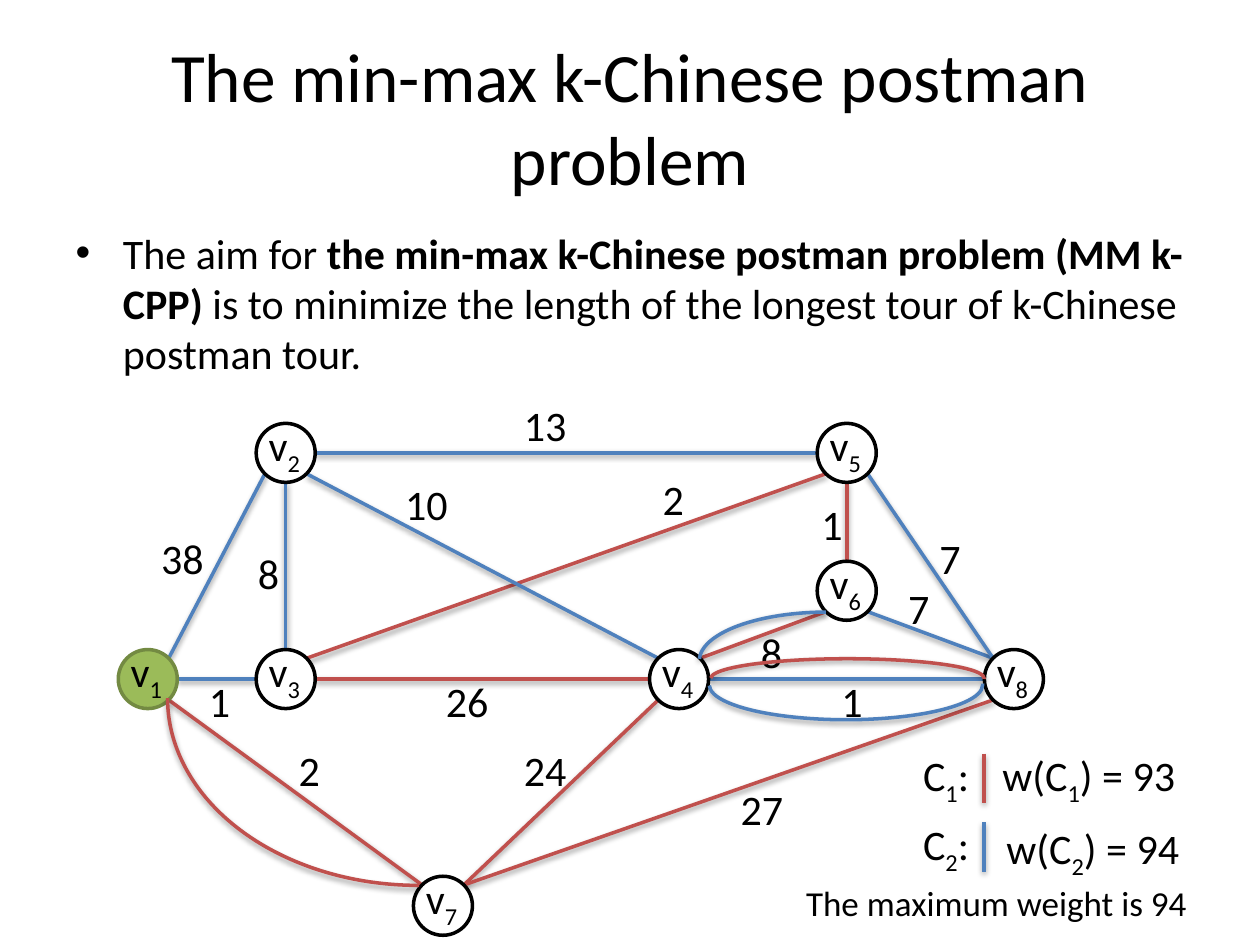
from dataclasses import dataclass

from lxml import etree
from pptx import Presentation
from pptx.dml.color import RGBColor
from pptx.enum.shapes import MSO_CONNECTOR, MSO_SHAPE
from pptx.enum.text import MSO_ANCHOR, MSO_AUTO_SIZE, PP_ALIGN
from pptx.oxml.ns import qn
from pptx.util import Cm, Pt

STRAIGHT = MSO_CONNECTOR.STRAIGHT
ELLIPSE, ARC = MSO_SHAPE.OVAL, MSO_SHAPE.ARC
FIT_SHAPE, NO_FIT = MSO_AUTO_SIZE.SHAPE_TO_FIT_TEXT, MSO_AUTO_SIZE.NONE
MIDDLE, CENTER = MSO_ANCHOR.MIDDLE, PP_ALIGN.CENTER

FONT = "Calibri"
BLACK, WHITE = "000000", "FFFFFF"
RED, BLUE = "C0504D", "4F81BD"
GREEN, DARK_GREEN = "9BBB59", "738A42"

RADIUS = 0.595
DIAGONAL = 0.42
LINE_HEIGHT = 1.27
DIGIT_WIDTHS = {1: 0.94, 2: 1.37}
SITES = {
    "N": (0, -RADIUS), "S": (0, RADIUS), "E": (RADIUS, 0), "W": (-RADIUS, 0),
    "NE": (DIAGONAL, -DIAGONAL), "SE": (DIAGONAL, DIAGONAL),
    "NW": (-DIAGONAL, -DIAGONAL), "SW": (-DIAGONAL, DIAGONAL),
}


@dataclass
class Node:
    x: float
    y: float
    fill: str = WHITE
    outline: str = BLACK


@dataclass
class Edge:
    start: int
    start_site: str
    end: int
    end_site: str
    color: str
    weight: int
    label_left: float
    label_top: float


@dataclass
class Arc:
    left: float
    top: float
    width: float
    height: float
    start_angle: float
    end_angle: float
    color: str


@dataclass
class Tour:
    number: int
    weight: int
    color: str
    top: float
    total_left: float
    total_top: float


NODES = {
    1: Node(2.98, 13.69, GREEN, DARK_GREEN),
    2: Node(5.76, 9.13),
    3: Node(5.76, 13.69),
    4: Node(13.69, 13.69),
    5: Node(17.07, 9.13),
    6: Node(17.07, 11.91),
    7: Node(8.93, 18.26),
    8: Node(20.44, 13.69),
}
EDGES = [
    Edge(1, "NE", 2, "SW", BLUE, 38, 3.0, 10.62),
    Edge(2, "S", 3, "N", BLUE, 8, 4.95, 10.92),
    Edge(3, "E", 4, "W", RED, 26, 8.74, 13.49),
    Edge(3, "NE", 5, "SW", RED, 2, 13.11, 9.42),
    Edge(2, "E", 5, "W", BLUE, 13, 10.31, 7.92),
    Edge(2, "SE", 4, "NW", BLUE, 10, 7.92, 9.53),
    Edge(5, "S", 6, "N", RED, 1, 16.31, 9.93),
    Edge(6, "SW", 4, "NE", RED, 8, 15.09, 12.5),
    Edge(4, "E", 8, "W", BLUE, 1, 16.71, 13.49),
    Edge(6, "SE", 8, "NW", BLUE, 7, 18.06, 11.61),
    Edge(5, "SE", 8, "NW", BLUE, 7, 18.69, 10.62),
    Edge(7, "NE", 4, "SW", RED, 24, 10.31, 14.88),
    Edge(1, "SE", 7, "NW", RED, 2, 5.77, 14.88),
    Edge(7, "NE", 8, "SW", RED, 27, 14.68, 15.67),
    Edge(1, "E", 3, "W", BLUE, 1, 3.96, 13.49),
]
ARCS = [
    Arc(3.38, 10.31, 10.11, 7.54, 89.73, 180.07, RED),
    Arc(14.33, 13.28, 5.51, 0.79, 180.12, 0.27, RED),
    Arc(14.1, 12.34, 5.16, 1.96, 180.8, 268.36, BLUE),
    Arc(14.3, 13.11, 5.51, 1.4, 359.4, 179.75, BLUE),
]
TOURS = [
    Tour(1, 93, RED, 14.99, 19.96, 14.99),
    Tour(2, 94, BLUE, 16.38, 20.04, 16.46),
]


def rgb(color: str) -> RGBColor:
    return RGBColor.from_string(color)


def style_span(span, size: float, bold: bool = False) -> None:
    span.font.name, span.font.size, span.font.bold = FONT, Pt(size), bold
    span.font.color.rgb = rgb(BLACK)


def style_line(shape, color: str) -> None:
    shape.line.color.rgb = rgb(color)
    shape.line.width = Pt(2)


def add_shadow(shape) -> None:
    effects = etree.SubElement(shape.element.spPr, qn("a:effectLst"))
    shadow = etree.SubElement(effects, qn("a:outerShdw"), blurRad="40000",
                              dist="20000", dir="5400000", rotWithShape="0")
    color = etree.SubElement(shadow, qn("a:srgbClr"), val=BLACK)
    etree.SubElement(color, qn("a:alpha"), val="38000")


def draw_line(page, x1: float, y1: float, x2: float, y2: float, color: str) -> None:
    line = page.shapes.add_connector(STRAIGHT, Cm(x1), Cm(y1), Cm(x2), Cm(y2))
    style_line(line, color)
    add_shadow(line)


def draw_text(page, left: float, top: float, width: float, *pieces: str,
              size: float = 24, height: float = LINE_HEIGHT) -> None:
    """Write the pieces on one line; a leading underscore marks a subscript."""
    box = page.shapes.add_textbox(Cm(left), Cm(top), Cm(width), Cm(height))
    box.text_frame.word_wrap = False
    box.text_frame.auto_size = FIT_SHAPE
    para = box.text_frame.paragraphs[0]
    for piece in pieces:
        span = para.add_run()
        span.text = piece.lstrip("_")
        style_span(span, size)
        if piece.startswith("_"):
            span.font._element.set("baseline", "-25000")


def draw_edge(page, edge: Edge) -> None:
    start, end = NODES[edge.start], NODES[edge.end]
    (dx1, dy1), (dx2, dy2) = SITES[edge.start_site], SITES[edge.end_site]
    draw_line(page, start.x + dx1, start.y + dy1, end.x + dx2, end.y + dy2, edge.color)


def draw_weight(page, edge: Edge) -> None:
    text = str(edge.weight)
    draw_text(page, edge.label_left, edge.label_top, DIGIT_WIDTHS[len(text)], text)


def draw_node(page, number: int, node: Node) -> None:
    left, top = node.x - RADIUS, node.y - RADIUS
    circle = page.shapes.add_shape(ELLIPSE, Cm(left), Cm(top), Cm(2 * RADIUS), Cm(2 * RADIUS))
    circle.shadow.inherit = False
    circle.fill.solid()
    circle.fill.fore_color.rgb = rgb(node.fill)
    style_line(circle, node.outline)
    draw_text(page, left, top - 0.2, 2 * RADIUS, "v", f"_{number}")


def draw_arc(page, arc: Arc) -> None:
    curve = page.shapes.add_shape(ARC, Cm(arc.left), Cm(arc.top), Cm(arc.width), Cm(arc.height))
    # Adjustments count 60000 units a degree, scaled by 100000
    curve.adjustments[0] = arc.start_angle * 0.6
    curve.adjustments[1] = arc.end_angle * 0.6
    curve.fill.background()
    style_line(curve, arc.color)
    add_shadow(curve)


def draw_tour(page, tour: Tour) -> None:
    index = f"_{tour.number}"
    draw_text(page, 18.36, tour.top, 1.47, "C", index, ":")
    draw_line(page, 19.84, tour.top + 0.2, 19.84, tour.top + 1.19, tour.color)
    draw_text(page, tour.total_left, tour.total_top, 4.06,
              "w(C", index, f") = {tour.weight}")


def place(shape, left: float, top: float, width: float, height: float) -> None:
    shape.left, shape.top, shape.width, shape.height = map(Cm, (left, top, width, height))
    shape.text_frame.auto_size = NO_FIT


def main() -> None:
    deck = Presentation()
    deck.slide_width, deck.slide_height = Cm(25.4), Cm(19.05)
    page = deck.slides.add_slide(deck.slide_layouts[1])

    # Title and definition
    title, body = page.shapes.title, page.placeholders[1]
    place(title, 1.27, 0.76, 22.86, 3.18)
    title.text_frame.text = "The min-max k-Chinese postman problem"
    title.text_frame.vertical_anchor = MIDDLE
    title.text_frame.paragraphs[0].alignment = CENTER
    style_span(title.text_frame.paragraphs[0].runs[0], 39.6)
    place(body, 1.27, 4.45, 22.86, 3.3)
    for text, bold in [
        ("The aim for ", False),
        ("the min-max k-Chinese postman problem (MM k-CPP) ", True),
        ("is to minimize the length of the longest tour of k-Chinese postman tour.", False),
    ]:
        span = body.text_frame.paragraphs[0].add_run()
        span.text = text
        style_span(span, 24, bold)

    # Graph
    for edge in EDGES:
        draw_edge(page, edge)
    for number, node in NODES.items():
        draw_node(page, number, node)
    for edge in EDGES:
        draw_weight(page, edge)
    for arc in ARCS:
        draw_arc(page, arc)

    # Legend
    for tour in TOURS:
        draw_tour(page, tour)
    draw_text(page, 16.0, 17.65, 8.26, "The maximum weight is 94", size=20, height=1.12)

    deck.save("out.pptx")


if __name__ == "__main__":
    main()
